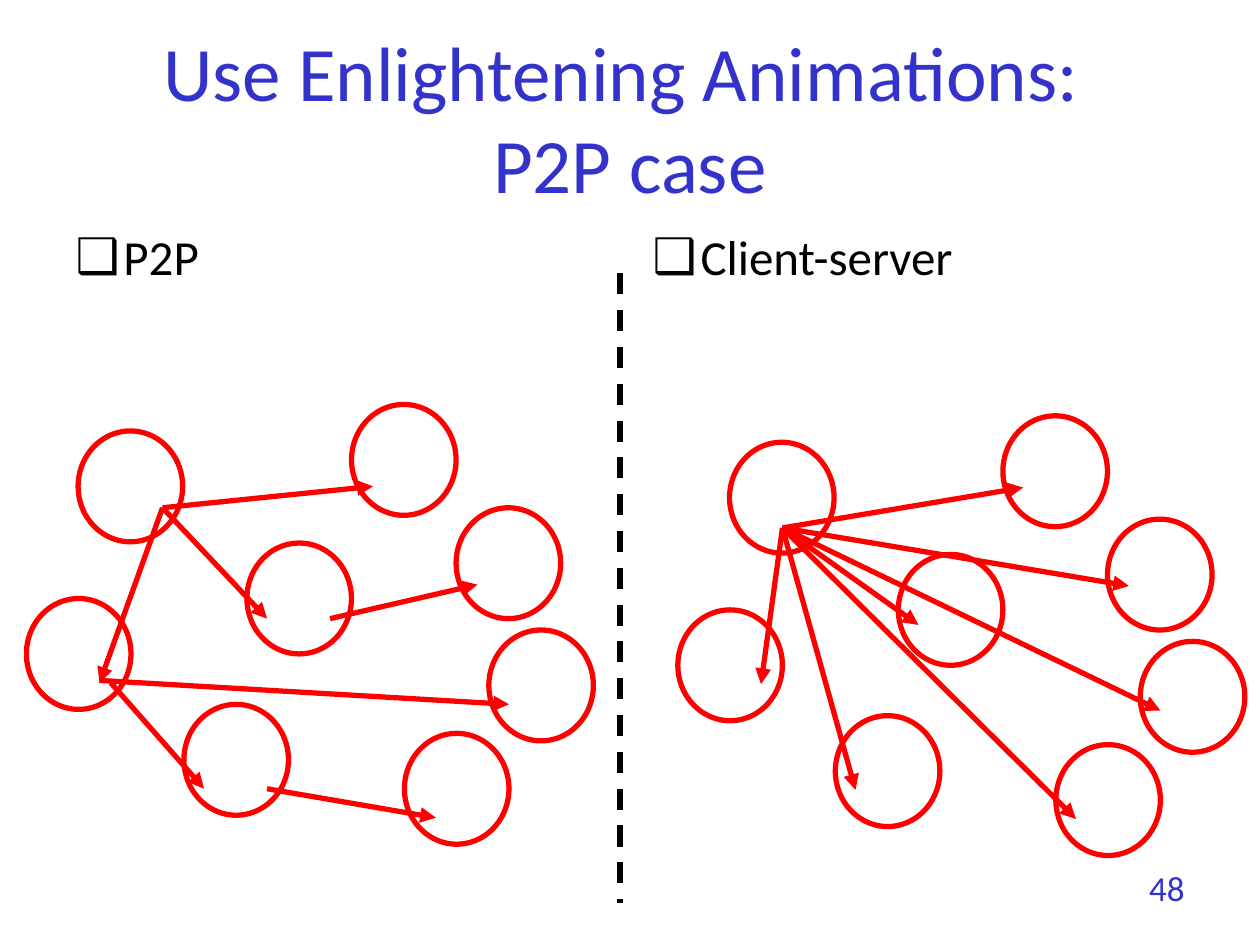
from lxml import etree
from pptx import Presentation
from pptx.dml.color import RGBColor
from pptx.enum.dml import MSO_LINE
from pptx.enum.shapes import MSO_CONNECTOR, MSO_SHAPE
from pptx.enum.text import MSO_ANCHOR, MSO_AUTO_SIZE, PP_ALIGN
from pptx.oxml.ns import qn
from pptx.util import Inches, Pt

STRAIGHT = MSO_CONNECTOR.STRAIGHT
OVAL = MSO_SHAPE.OVAL
DASH = MSO_LINE.DASH
BLUE, RED, BLACK = "3333CC", "FF0000", "000000"


def style_font(font, size, color):
    font.name = "Calibri"
    font.size = Pt(size)
    font.color.rgb = RGBColor.from_string(color)


def add_line(start, end, color):
    points = [Inches(value) for value in (*start, *end)]
    connector = slide.shapes.add_connector(STRAIGHT, *points)
    connector.line.color.rgb = RGBColor.from_string(color)
    connector.line.width = Pt(3)
    etree.SubElement(connector._element.spPr, qn("a:effectLst"))
    return connector


presentation = Presentation()
presentation.slide_width = Inches(10)
presentation.slide_height = Inches(7.5)
slide = presentation.slides.add_slide(presentation.slide_layouts[3])
title, left_body, right_body = slide.placeholders

# Slide number
number_box = slide.shapes.add_textbox(Inches(8.5), Inches(6.83), Inches(1), Inches(0.52))
number_box.text_frame.word_wrap = True
paragraph = number_box.text_frame.paragraphs[0]
paragraph.alignment = PP_ALIGN.RIGHT
run = paragraph.add_run()
run.text = "48"
style_font(run.font, 20, BLUE)

# Title
title.left, title.top = Inches(0.5), Inches(0.3)
title.width, title.height = Inches(9), Inches(1.25)
title.text_frame.auto_size = MSO_AUTO_SIZE.NONE
title.text_frame.vertical_anchor = MSO_ANCHOR.MIDDLE
paragraph = title.text_frame.paragraphs[0]
paragraph.alignment = PP_ALIGN.CENTER
run = paragraph.add_run()
run.text = "Use Enlightening Animations: "
style_font(run.font, 44, BLUE)
paragraph.add_line_break()
run = paragraph.add_run()
run.text = "P2P case"
style_font(run.font, 44, BLUE)

# Column headings
for body, left, heading in ((left_body, 0.5, "P2P"), (right_body, 5.08, "Client-server")):
    body.left, body.top = Inches(left), Inches(1.75)
    body.width, body.height = Inches(4.42), Inches(4.95)
    body.text_frame.auto_size = MSO_AUTO_SIZE.NONE
    paragraph = body.text_frame.paragraphs[0]
    paragraph.space_before = Pt(0)
    properties = paragraph._p.get_or_add_pPr()
    properties.set("marL", str(Inches(0.38)))
    properties.set("indent", str(Inches(-0.38)))
    etree.SubElement(properties, qn("a:buChar"), char="❑")
    run = paragraph.add_run()
    run.text = heading
    style_font(run.font, 28, BLACK)

# Peers: the same network on both sides
peers = [(0.62, 3.42), (0.21, 4.75), (1.46, 5.59), (1.96, 4.31),
         (2.79, 3.21), (3.62, 4.03), (3.88, 5), (3.21, 5.82)]
for shift_x, shift_y in ((5.17, 0.09), (0, 0)):
    for x, y in peers:
        peer = slide.shapes.add_shape(
            OVAL, Inches(x + shift_x), Inches(y + shift_y), Inches(0.83), Inches(0.88))
        peer.shadow.inherit = False
        peer.fill.background()
        peer.line.color.rgb = RGBColor.from_string(RED)
        peer.line.width = Pt(3)

# Transfers: peers pass data on, the server sends to every client
first_peer, server = (1.29, 4.03), (6.21, 4.19)
transfers = [
    (first_peer, (0.79, 5.42)),
    ((0.88, 5.42), (1.62, 6.26)),
    (first_peer, (2.12, 4.91)),
    (first_peer, (2.96, 3.86)),
    ((2.62, 4.91), (3.79, 4.64)),
    ((0.79, 5.4), (4.04, 5.59)),
    ((2.12, 6.26), (3.46, 6.49)),
]
clients = [(6.04, 5.43), (7.29, 4.96), (8.12, 3.87), (6.79, 6.27),
           (8.96, 4.65), (9.21, 5.64), (8.54, 6.5)]
transfers += [(server, client) for client in clients]
for start, end in transfers:
    arrow = add_line(start, end, RED)
    etree.SubElement(arrow.line._get_or_add_ln(), qn("a:tailEnd"), type="triangle")

# Divider
divider = add_line((4.92, 2.17), (4.92, 7.17), BLACK)
divider.line.dash_style = DASH

presentation.save("out.pptx")
